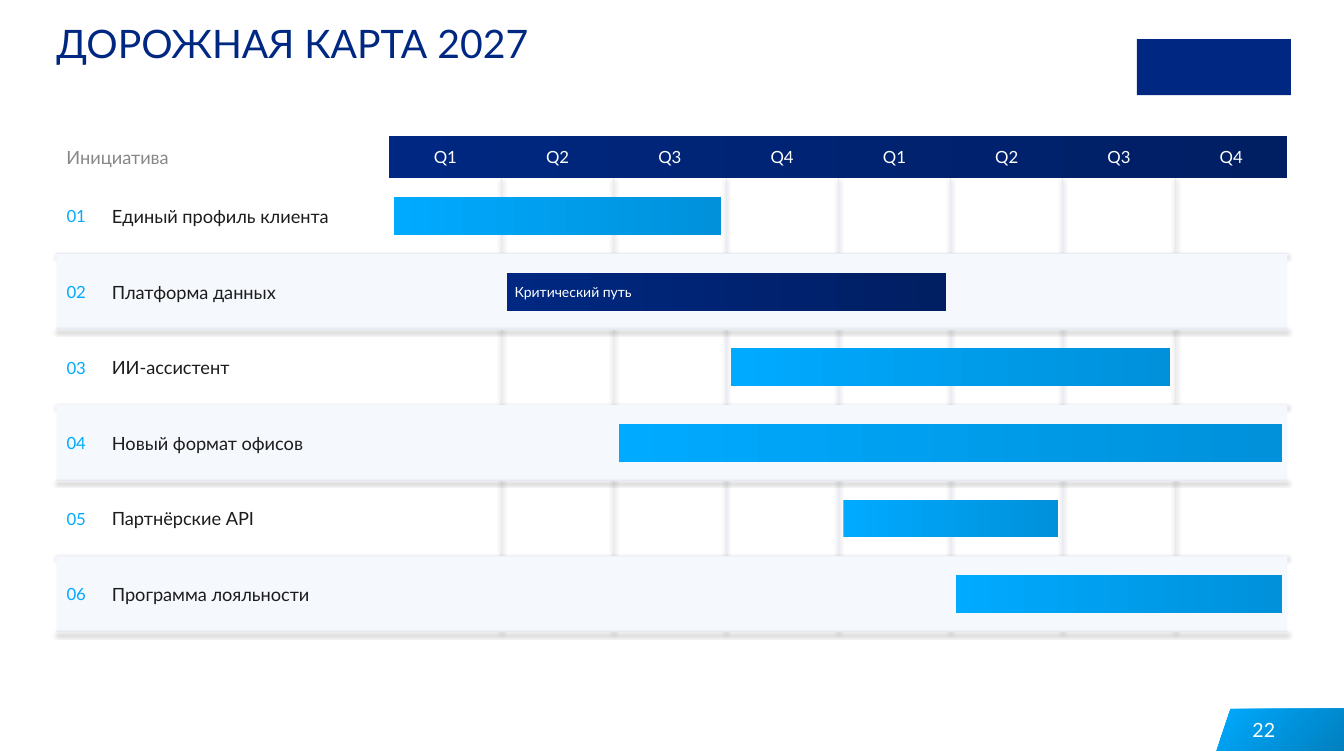
from lxml import etree
from pptx import Presentation
from pptx import util as u
from pptx.dml.color import RGBColor
from pptx.enum import shapes, text
from pptx.oxml import ns

COLORS = {
    "navy": "002882", "navy_dark": "001E62", "sky": "00AAFF", "sky_dark": "0091DA",
    "corner_dark": "0080BF", "grid": "E6EAF2", "band": "F5F8FC", "ink": "1C1C1C",
    "muted": "878787", "white": "FFFFFF", "shadow": "000000",
}
LEFT, RIGHT, TOP = 40.3, 919.6, 97.2
LABEL_LEFT, NAME_LEFT, CHART_LEFT = 47.5, 79.9, 278
HEADER_H, ROW_H, BAR_H, BAR_GAP = 30.2, 54, 27, 3.6
QUARTERS = ["Q1", "Q2", "Q3", "Q4"] * 2
COL_W = (RIGHT - CHART_LEFT) / len(QUARTERS)
ROWS_TOP = TOP + HEADER_H
INITIATIVES = [
    ("Единый профиль клиента", 0, 3, ""),
    ("Платформа данных", 1, 4, "Критический путь"),
    ("ИИ-ассистент", 3, 4, ""),
    ("Новый формат офисов", 2, 6, ""),
    ("Партнёрские API", 4, 2, ""),
    ("Программа лояльности", 5, 3, ""),
]


def rgb(name):
    return RGBColor.from_string(COLORS[name])


class SlideBuilder:
    def __init__(self, slide, font="Lato"):
        self.slide = slide
        self.font = font

    def set_text(self, tf, words, size, color, align, anchor, inset=0):
        tf.word_wrap = True
        tf.auto_size = text.MSO_AUTO_SIZE.NONE
        tf.vertical_anchor = anchor
        tf.margin_left = tf.margin_right = u.Pt(inset)
        tf.margin_top = tf.margin_bottom = u.Pt(inset / 2)
        p = tf.paragraphs[0]
        p.alignment = align
        r = p.add_run()
        r.text = words
        r.font.size = u.Pt(size)
        r.font.name = self.font
        r.font.color.rgb = rgb(color)

    def title(self, words, x, y, w, h):
        sp = self.slide.shapes.title
        sp.left, sp.top, sp.width, sp.height = map(u.Pt, (x, y, w, h))
        self.set_text(sp.text_frame, words, 28, "navy", text.PP_ALIGN.LEFT,
                      text.MSO_ANCHOR.TOP)

    def label(self, words, x, y, w, h, size, color, align=text.PP_ALIGN.LEFT, inset=0):
        sp = self.slide.shapes.add_textbox(*map(u.Pt, (x, y, w, h)))
        self.set_text(sp.text_frame, words, size, color, align,
                      text.MSO_ANCHOR.MIDDLE, inset)

    def paint(self, sp, colors, angle=0):
        sp.shadow.inherit = False
        sp.line.fill.background()
        if len(colors) == 1:
            sp.fill.solid()
            sp.fill.fore_color.rgb = rgb(colors[0])
            return
        sp.fill.gradient()
        sp.fill.gradient_angle = angle
        for stop, color in zip(sp.fill.gradient_stops, colors):
            stop.color.rgb = rgb(color)

    def rect(self, x, y, w, h, *colors):
        sp = self.slide.shapes.add_shape(
            shapes.MSO_SHAPE.RECTANGLE, *map(u.Pt, (x, y, w, h)))
        self.paint(sp, colors)

    def polygon(self, points, colors, angle):
        start, *rest = [(u.Pt(x), u.Pt(y)) for x, y in points]
        outline = self.slide.shapes.build_freeform(*start)
        outline.add_line_segments(rest, close=True)
        self.paint(outline.convert_to_shape(), colors, angle)

    def line(self, x1, y1, x2, y2):
        cxn = self.slide.shapes.add_connector(
            shapes.MSO_CONNECTOR.STRAIGHT, *map(u.Pt, (x1, y1, x2, y2)))
        cxn.line.width = u.Pt(0.75)
        cxn.line.color.rgb = rgb("grid")
        effects = etree.SubElement(cxn._element.spPr, ns.qn("a:effectLst"))
        shadow = etree.SubElement(
            effects, ns.qn("a:outerShdw"), blurRad="40000", dist="20000",
            dir="5400000", rotWithShape="0")
        color = etree.SubElement(shadow, ns.qn("a:srgbClr"), val=COLORS["shadow"])
        etree.SubElement(color, ns.qn("a:alpha"), val="38000")


def add_header(s):
    s.rect(CHART_LEFT, TOP, RIGHT - CHART_LEFT, HEADER_H, "navy", "navy_dark")
    s.label("Инициатива", LABEL_LEFT, TOP, 223.2, HEADER_H, 13, "muted")
    for i, quarter in enumerate(QUARTERS):
        x = CHART_LEFT + i * COL_W
        s.label(quarter, x, TOP, COL_W, HEADER_H, 12, "white", text.PP_ALIGN.CENTER)
        if i:
            s.line(x, ROWS_TOP, x, ROWS_TOP + len(INITIATIVES) * ROW_H)


def add_initiative(s, i, name, start, span, note):
    y = ROWS_TOP + i * ROW_H
    if i % 2:
        s.rect(LEFT, y, RIGHT - LEFT, ROW_H, "band")
    s.label(f"{i + 1:02d}", LABEL_LEFT, y, NAME_LEFT - LABEL_LEFT, ROW_H, 12, "sky")
    s.label(name, NAME_LEFT, y, 190.8, ROW_H, 13, "ink")
    x = CHART_LEFT + start * COL_W + BAR_GAP
    w = span * COL_W - 2 * BAR_GAP
    bar_y = y + (ROW_H - BAR_H) / 2
    colors = ("navy", "navy_dark") if note else ("sky", "sky_dark")
    s.rect(x, bar_y, w, BAR_H, *colors)
    if note:
        s.label(note, x + 5.8, bar_y, w - 7.2, BAR_H, 10, "white")
    s.line(LEFT, y + ROW_H, RIGHT, y + ROW_H)


def main():
    prs = Presentation()
    prs.slide_width, prs.slide_height = u.Pt(960), u.Pt(540)
    s = SlideBuilder(prs.slides.add_slide(prs.slide_layouts[5]))
    s.polygon([(879, 506.4), (960, 506.4), (960, 536.4), (869, 536.4)],
              ("sky", "corner_dark"), 315)
    s.rect(812, 28, 110, 40, "navy")
    s.title("ДОРОЖНАЯ КАРТА 2027", LEFT, 13.7, 754.6, 67.7)
    s.label("22", 877.7, 506.9, 40.3, 28.8, 14, "white", text.PP_ALIGN.RIGHT, 7.2)
    add_header(s)
    for i, initiative in enumerate(INITIATIVES):
        add_initiative(s, i, *initiative)
    prs.save("out.pptx")


if __name__ == "__main__":
    main()
